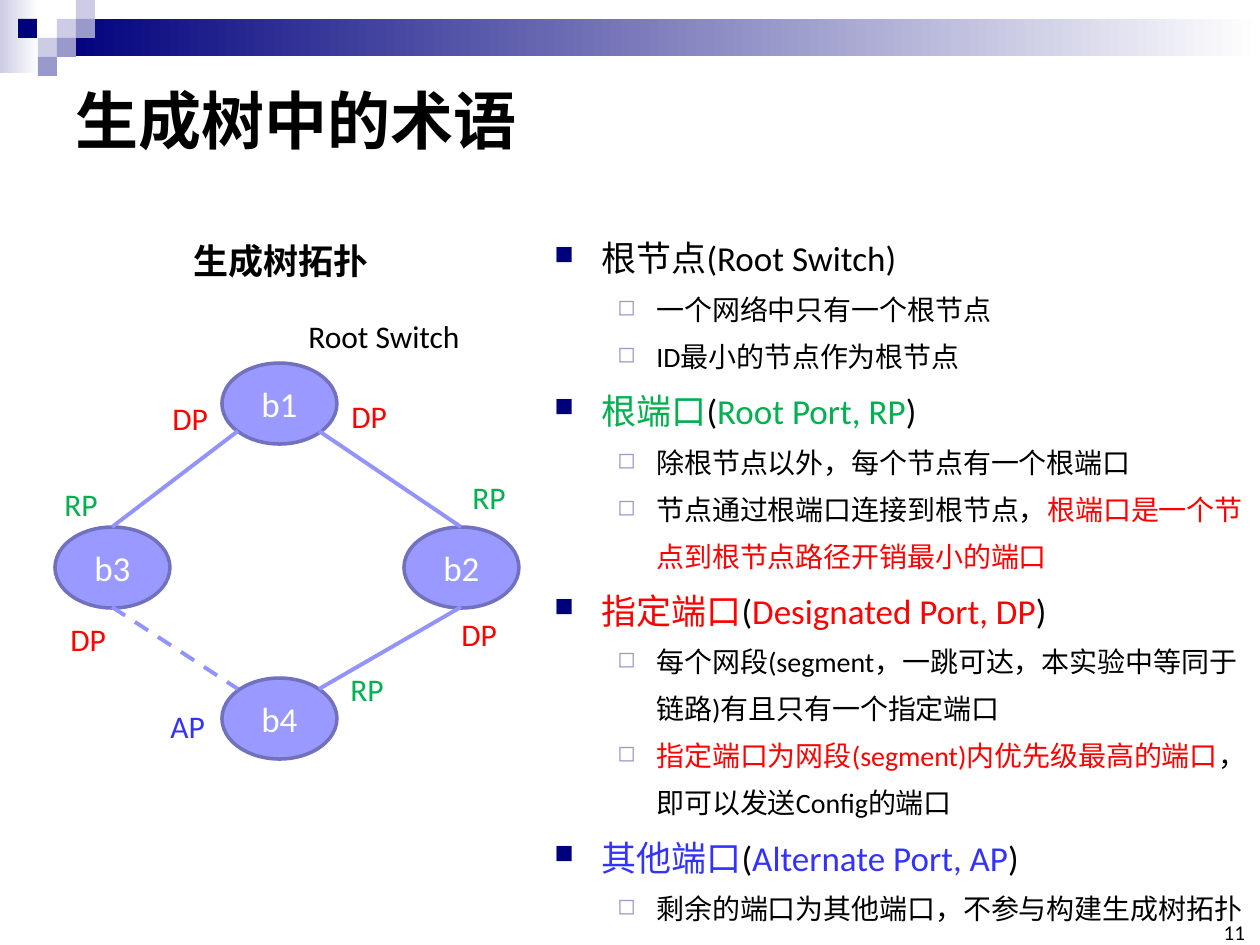
"""Build the slide on spanning tree terms."""
from dataclasses import dataclass

from lxml.etree import SubElement
from pptx import Presentation
from pptx.dml.color import RGBColor
from pptx.enum.dml import MSO_LINE
from pptx.enum.shapes import MSO_CONNECTOR, MSO_SHAPE
from pptx.enum.text import MSO_ANCHOR, MSO_AUTO_SIZE, PP_ALIGN
from pptx.oxml.ns import qn
from pptx.util import Pt


@dataclass(frozen=True)
class Theme:
    font: str = "Calibri"
    black: str = "000000"
    white: str = "FFFFFF"
    navy: str = "00007D"
    pale: str = "CCCCE6"
    mauve: str = "9999CC"
    node: str = "9999FF"
    node_line: str = "7171BD"
    link: str = "9393FC"
    red: str = "FF0000"
    green: str = "00B050"
    blue: str = "3333FF"
    title: int = 36
    heading: int = 20
    label: int = 18
    detail: int = 16
    number: int = 12


T = Theme()


def px(*values):
    return [round(v * 914400 / 126) for v in values]


def write(p, text, size, color, bold=False):
    r = p.add_run()
    r.text = text
    r.font.name, r.font.size, r.font.bold = T.font, Pt(size), bold
    r.font.color.rgb = RGBColor.from_string(color)


prs = Presentation()
prs.slide_width, prs.slide_height = px(1260, 945)
s = prs.slides.add_slide(prs.slide_layouts[6])

bands = [
    (0, 0, 39, 73, T.pale, T.white),
    (57, 19, 1203, 37, T.navy, T.white),
]
squares = [
    (57, 19, T.pale), (76, 0, T.pale), (76, 19, T.mauve), (38, 38, T.pale),
    (18, 19, T.navy), (57, 38, T.mauve), (38, 57, T.mauve),
]
for x, y, w, h, start, end in bands + [(x, y, 19, 19, c, c) for x, y, c in squares]:
    sp = s.shapes.add_shape(MSO_SHAPE.RECTANGLE, *px(x, y, w, h))
    sp.shadow.inherit = False
    sp.line.fill.background()
    if start == end:
        sp.fill.solid()
        sp.fill.fore_color.rgb = RGBColor.from_string(start)
    else:
        sp.fill.gradient()
        sp.fill.gradient_angle = 0
        for stop, color in zip(sp.fill.gradient_stops, (start, end)):
            stop.color.rgb = RGBColor.from_string(color)

title = s.shapes.add_textbox(*px(63, 63, 1134, 112))
tf = title.text_frame
tf.word_wrap, tf.vertical_anchor = True, MSO_ANCHOR.MIDDLE
write(tf.paragraphs[0], "生成树中的术语", T.title, T.black, True)

number = s.shapes.add_textbox(*px(1216, 924, 29, 21))
tf = number.text_frame
tf.margin_left = tf.margin_right = tf.margin_top = tf.margin_bottom = 0
tf.vertical_anchor = MSO_ANCHOR.BOTTOM
tf.paragraphs[0].alignment = PP_ALIGN.RIGHT
write(tf.paragraphs[0], "11", T.number, T.black)

for name, x, y in [("b1", 222, 363), ("b3", 55, 527), ("b2", 404, 527), ("b4", 222, 678)]:
    sp = s.shapes.add_shape(MSO_SHAPE.OVAL, *px(x, y, 115, 81))
    sp.shadow.inherit = False
    sp.fill.solid()
    sp.fill.fore_color.rgb = RGBColor.from_string(T.node)
    sp.line.color.rgb = RGBColor.from_string(T.node_line)
    sp.line.width = Pt(2)
    tf = sp.text_frame
    tf.vertical_anchor = MSO_ANCHOR.MIDDLE
    tf.paragraphs[0].alignment = PP_ALIGN.CENTER
    write(tf.paragraphs[0], name, T.heading, T.white)

links = [
    (238, 431, 112, 527, False),
    (319, 431, 461, 527, False),
    (112, 607, 238, 689, True),
    (461, 607, 319, 689, False),
]
for x1, y1, x2, y2, blocked in links:
    link = s.shapes.add_connector(MSO_CONNECTOR.STRAIGHT, *px(x1, y1, x2, y2))
    link.line.color.rgb = RGBColor.from_string(T.link)
    link.line.width = Pt(2.25)
    if blocked:
        link.line.dash_style = MSO_LINE.DASH
    SubElement(link._element.spPr, qn("a:effectLst"))

labels = [
    ("生成树拓扑", 181, 233, 203, 55, T.heading, T.black, True),
    ("Root Switch", 296, 311, 179, 50, T.label, T.black, False),
]
ports = [
    ("RP", T.green, 59, [(52, 479), (460, 472), (338, 664)]),
    ("DP", T.red, 62, [(160, 393), (339, 391), (58, 614), (449, 609)]),
    ("AP", T.blue, 60, [(158, 701)]),
]
for name, color, w, places in ports:
    labels += [(name, x, y, w, 50, T.label, color, False) for x, y in places]
for text, x, y, w, h, size, color, bold in labels:
    tf = s.shapes.add_textbox(*px(x, y, w, h)).text_frame
    tf.word_wrap, tf.auto_size = False, MSO_AUTO_SIZE.SHAPE_TO_FIT_TEXT
    write(tf.paragraphs[0], text, size, color, bold)

terms = [
    (0, [("根节点(Root Switch)", T.black)]),
    (1, [("一个网络中只有一个根节点", T.black)]),
    (1, [("ID最小的节点作为根节点", T.black)]),
    (0, [("根端口", T.green), ("(", T.black), ("Root Port, RP", T.green), (")", T.black)]),
    (1, [("除根节点以外，每个节点有一个根端口", T.black)]),
    (1, [("节点通过根端口连接到根节点，", T.black),
         ("根端口是一个节点到根节点路径开销最小的端口", T.red)]),
    (0, [("指定端口", T.red), ("(", T.black), ("Designated Port, DP", T.red), (")", T.black)]),
    (1, [("每个网段(segment，一跳可达，本实验中等同于链路)有且只有一个指定端口", T.black)]),
    (1, [("指定端口为网段(segment)内优先级最高的端口", T.red),
         ("，即可以发送Config的端口", T.black)]),
    (0, [("其他端口", T.blue), ("(", T.black), ("Alternate Port, AP", T.blue), (")", T.black)]),
    (1, [("剩余的端口为其他端口，不参与构建生成树拓扑", T.black)]),
]
levels = [
    (T.heading, 47, -47, "■", T.navy, "75000"),
    (T.detail, 102, -39, "◻", T.mauve, "80000"),
]
tf = s.shapes.add_textbox(*px(542, 214, 718, 694)).text_frame
tf.word_wrap = True
for i, (level, runs) in enumerate(terms):
    p = tf.paragraphs[0] if i == 0 else tf.add_paragraph()
    size, margin, indent, bullet, color, scale = levels[level]
    p.level, p.line_spacing = level, 1.4
    pPr = p._p.get_or_add_pPr()
    for key, length in zip(("marL", "indent"), px(margin, indent)):
        pPr.set(key, str(length))
    SubElement(SubElement(pPr, qn("a:buClr")), qn("a:srgbClr"), val=color)
    SubElement(pPr, qn("a:buSzPct"), val=scale)
    SubElement(pPr, qn("a:buChar"), char=bullet)
    for text, run_color in runs:
        write(p, text, size, run_color)

prs.save("out.pptx")
